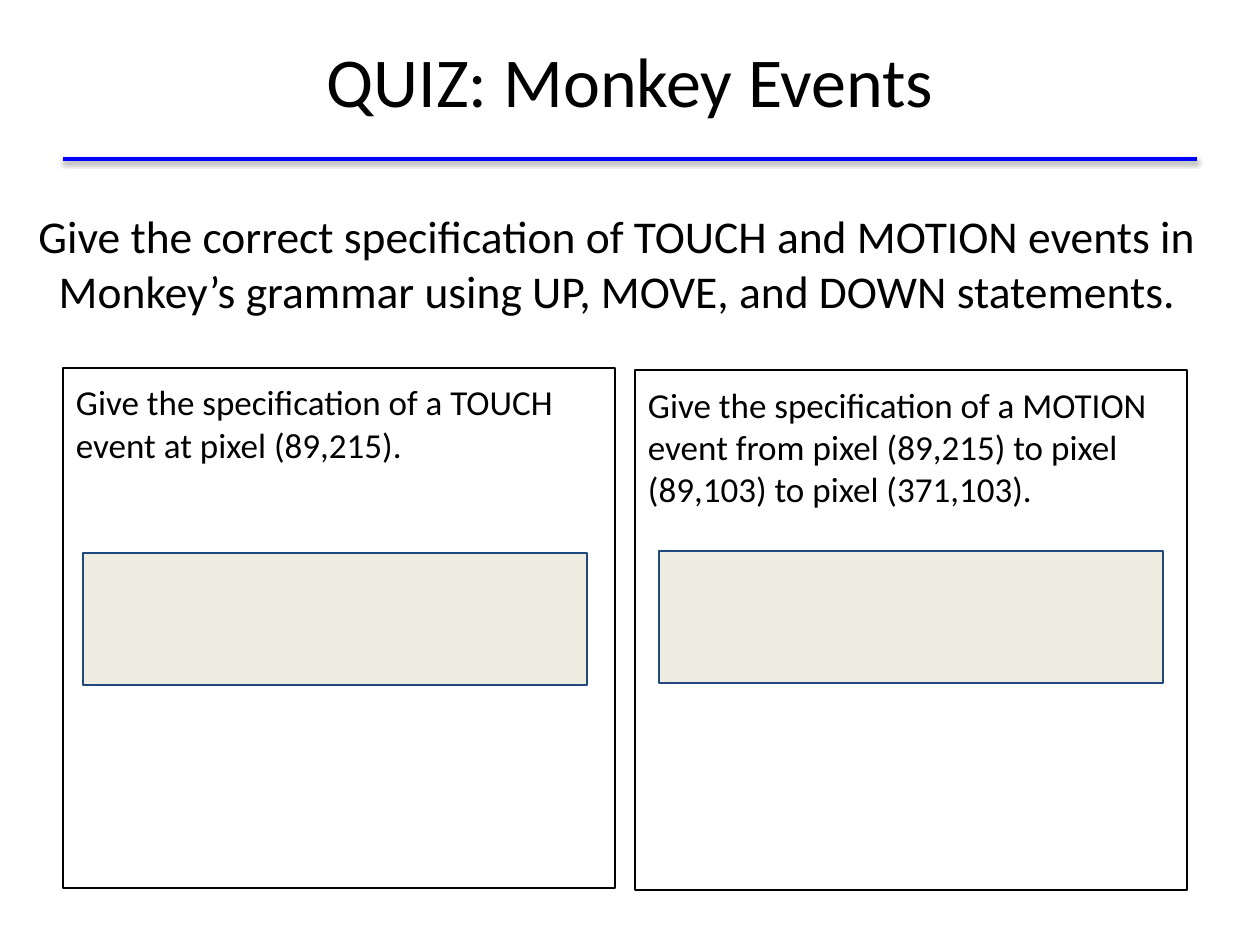
from lxml import etree
from pptx import Presentation, util as u
from pptx.dml.color import RGBColor
from pptx.enum import shapes, text
from pptx.oxml import ns

COLORS = {"ink": "000000", "rule": "0000FF", "answer": "EEECE1", "edge": "1F497D"}
PIXELS_PER_INCH = 126
FONT = "Calibri"


def px(length):
    return u.Emu(round(length * 914400 / PIXELS_PER_INCH))


def color(name):
    return RGBColor.from_string(COLORS[name])


class QuizSlide:
    def __init__(self, presentation):
        self.slide = presentation.slides.add_slide(presentation.slide_layouts[6])

    def set_text(self, shape, words, size, align, anchor, before=0, inset=13):
        frame = shape.text_frame
        paragraph = frame.paragraphs[0]
        run = paragraph.add_run()
        run.text = words
        run.font.color.rgb = color("ink")
        formats = (
            (frame, {"word_wrap": True, "vertical_anchor": anchor,
                     "margin_left": px(13), "margin_right": px(13),
                     "margin_top": px(inset), "margin_bottom": px(inset)}),
            (paragraph, {"alignment": align, "space_before": u.Pt(before)}),
            (run.font, {"name": FONT, "size": u.Pt(size)}),
        )
        for target, values in formats:
            for name, value in values.items():
                setattr(target, name, value)

    def heading(self, words, box, size, inset=13):
        shape = self.slide.shapes.add_textbox(*map(px, box))
        self.set_text(shape, words, size, text.PP_ALIGN.CENTER,
                      text.MSO_ANCHOR.MIDDLE, inset=inset)

    def box(self, box, line, fill=None):
        shape = self.slide.shapes.add_shape(
            shapes.MSO_SHAPE.RECTANGLE, *map(px, box))
        shape.shadow.inherit = False
        shape.line.color.rgb = color(line)
        shape.line.width = u.Pt(0.75)
        if fill:
            shape.fill.solid()
            shape.fill.fore_color.rgb = color(fill)
        else:
            shape.fill.background()
        return shape

    def question(self, words, box):
        self.set_text(self.box(box, "ink"), words, 20, text.PP_ALIGN.LEFT,
                      text.MSO_ANCHOR.TOP, before=6.4)

    def rule(self, left, right, top):
        """Draw a horizontal line with a soft shadow below it."""
        line = self.slide.shapes.add_connector(
            shapes.MSO_CONNECTOR.STRAIGHT, px(left), px(top), px(right), px(top))
        line.line.color.rgb = color("rule")
        line.line.width = u.Pt(2)
        parent = line._element.spPr
        for tag, values in (
            ("a:effectLst", {}),
            ("a:outerShdw", {"blurRad": u.Pt(3.1), "dist": u.Pt(1.6),
                             "dir": 90 * 60000, "rotWithShape": 0}),
            ("a:srgbClr", {"val": COLORS["ink"]}),
            ("a:alpha", {"val": 38000}),
        ):
            parent = etree.SubElement(parent, ns.qn(tag))
            for name, value in values.items():
                parent.set(name, str(int(value)) if tag != "a:srgbClr" else value)


def main():
    presentation = Presentation()
    presentation.slide_width, presentation.slide_height = px(1260), px(945)
    quiz = QuizSlide(presentation)

    quiz.rule(63, 1197, 159)
    quiz.heading("QUIZ: Monkey Events", (63, 1, 1134, 158), 40, inset=6)
    quiz.heading("Give the correct specification of TOUCH and MOTION events in "
                 "Monkey’s grammar using UP, MOVE, and DOWN statements.",
                 (24, 209, 1187, 107), 26)

    questions = (
        ("Give the specification of a TOUCH event at pixel (89,215).",
         (63, 368), (83, 553)),
        ("Give the specification of a MOTION event from pixel (89,215) to pixel "
         "(89,103) to pixel (371,103).",
         (635, 370), (659, 551)),
    )
    for words, panel, answer in questions:
        quiz.question(words, (*panel, 552, 520))
        quiz.box((*answer, 504, 132), "edge", "answer")

    presentation.save("out.pptx")


if __name__ == "__main__":
    main()
